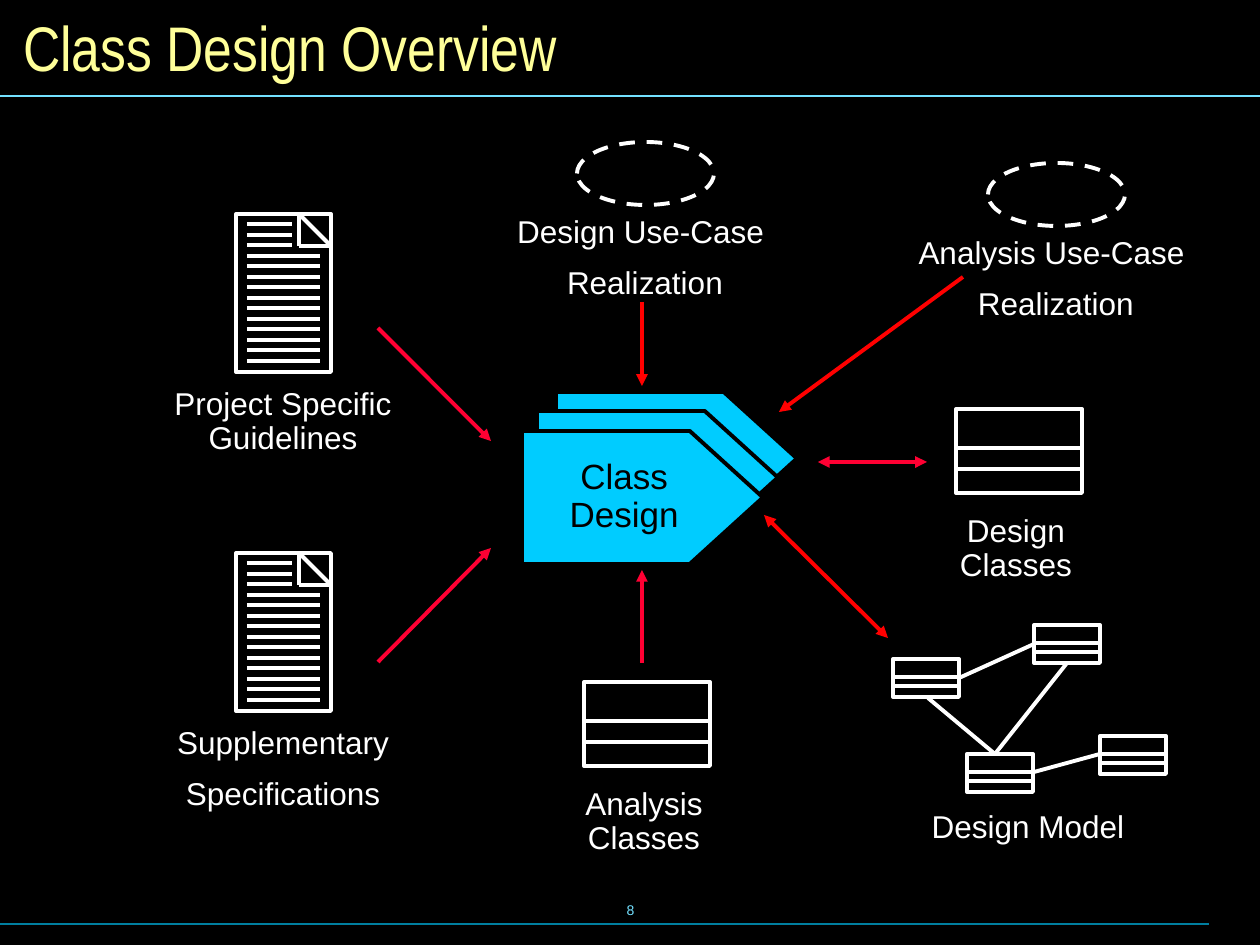
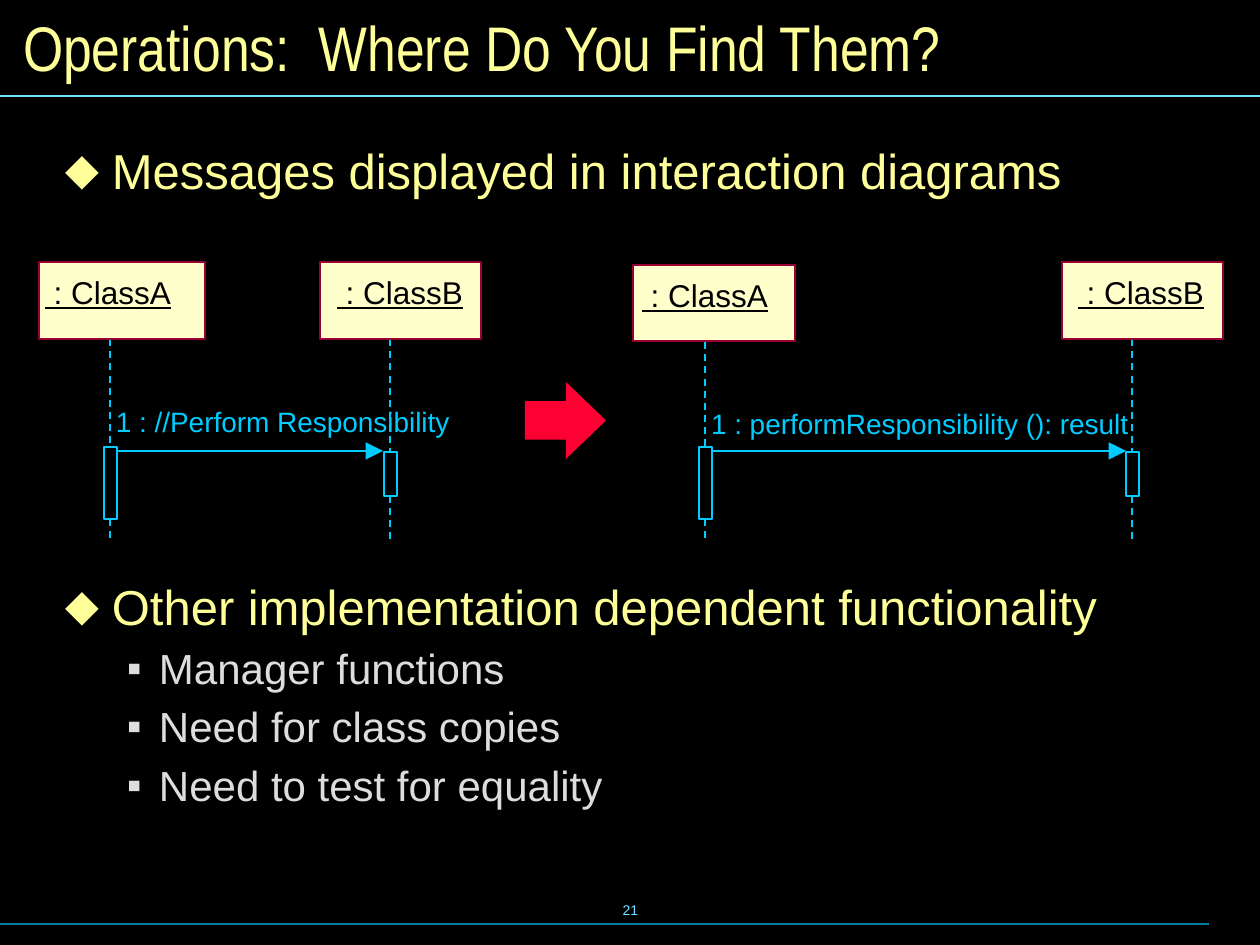
from dataclasses import dataclass

from lxml import etree
from pptx import Presentation
from pptx import util as u
from pptx.dml.color import RGBColor
from pptx.enum import dml, shapes, text
from pptx.oxml import ns

SHAPE = shapes.MSO_SHAPE
ALIGN = text.PP_ALIGN
ANCHOR = text.MSO_ANCHOR
PX = 914400 / 126


def px(length):
    return u.Emu(round(length * PX))


@dataclass(frozen=True)
class Theme:
    # Colours
    background: str = "000000"
    white: str = "FFFFFF"
    black: str = "000000"
    title: str = "FFFF99"
    sub_item: str = "DDDDDD"
    header_line: str = "73E1FF"
    footer_line: str = "007E9F"
    cyan: str = "00CCFF"
    crimson: str = "FF0033"
    red: str = "FF0000"
    object_fill: str = "FFFFCC"
    object_line: str = "990033"
    # Fonts and type sizes
    body_font: str = "Arial"
    title_font: str = "Arial Narrow"
    title_size: int = 36
    item_size: int = 28
    sub_item_size: int = 24
    step_size: int = 20
    label_size: int = 18
    message_size: int = 16
    number_size: int = 8
    # Line widths
    thick: float = 2.25
    medium: float = 1
    thin: float = 0.75


THEME = Theme()


class Deck:
    """Holds the theme and the current slide, and draws elements on it."""

    def __init__(self, theme):
        self.theme = theme
        self.presentation = Presentation()
        self.presentation.slide_width = u.Inches(10)
        self.presentation.slide_height = u.Inches(7.5)
        fill = self.presentation.slide_master.background.fill
        fill.solid()
        fill.fore_color.rgb = RGBColor.from_string(theme.background)
        self.slide = None

    def new_slide(self, title, number, layout):
        theme = self.theme
        self.slide = self.presentation.slides.add_slide(
            self.presentation.slide_layouts[layout])
        self.label(str(number), 431, 880, 399, 63, theme.number_size,
                   theme.header_line, anchor=ANCHOR.MIDDLE)
        self.line(0, 924, 1209, 924, theme.footer_line, theme.thin)
        self.line(0, 96, 1260, 96, theme.header_line, theme.thin)
        shape = self.slide.shapes.title
        self.place(shape, 10, 10, 1240, 73)
        frame = shape.text_frame
        frame.text = title
        self.frame(frame, ANCHOR.MIDDLE, 13, 6)
        frame.paragraphs[0].alignment = ALIGN.LEFT
        self.font(frame.paragraphs[0], theme.title_size, theme.title,
                  theme.title_font)

    def place(self, shape, left, top, width, height):
        shape.left, shape.top = px(left), px(top)
        shape.width, shape.height = px(width), px(height)

    def frame(self, frame, anchor, side, end, wrap=True):
        frame.auto_size = text.MSO_AUTO_SIZE.NONE
        frame.word_wrap = wrap
        frame.vertical_anchor = anchor
        frame.margin_left = frame.margin_right = px(side)
        frame.margin_top = frame.margin_bottom = px(end)

    def font(self, paragraph, size, color, name=None, underline=None):
        font = paragraph.font
        font.name = name or self.theme.body_font
        font.size = u.Pt(size)
        font.color.rgb = RGBColor.from_string(color)
        font.underline = underline

    def fill_text(self, frame, content, size, color, align, underline=None):
        frame.text = content
        for index, paragraph in enumerate(frame.paragraphs):
            paragraph.alignment = align
            paragraph.line_spacing = 0.9
            paragraph.space_before = u.Pt(10 if index else 0)
            self.font(paragraph, size, color, underline=underline)

    def label(self, content, left, top, width, height, size, color,
              align=ALIGN.CENTER, anchor=ANCHOR.TOP, side=13, end=6,
              underline=None):
        shape = self.slide.shapes.add_textbox(
            px(left), px(top), px(width), px(height))
        self.frame(shape.text_frame, anchor, side, end, wrap=False)
        self.fill_text(shape.text_frame, content, size, color, align,
                       underline)

    def caption(self, content, center, top, height=88, side=13, end=6):
        self.label(content, center - 140, top, 280, height,
                   self.theme.label_size, self.theme.white,
                   side=side, end=end)

    def shape(self, kind, left, top, width, height, fill=None, line=None,
              weight=1, dash=False, adjustments=()):
        shape = self.slide.shapes.add_shape(
            kind, px(left), px(top), px(width), px(height))
        shape.shadow.inherit = False
        for index, value in enumerate(adjustments):
            shape.adjustments[index] = value
        if fill:
            shape.fill.solid()
            shape.fill.fore_color.rgb = RGBColor.from_string(fill)
        else:
            shape.fill.background()
        if line:
            self.stroke(shape.line, line, weight, dash)
        else:
            shape.line.fill.background()
        return shape

    def stroke(self, line, color, weight, dash):
        line.color.rgb = RGBColor.from_string(color)
        line.width = u.Pt(weight)
        if dash:
            line.dash_style = dml.MSO_LINE.DASH

    def line(self, x1, y1, x2, y2, color, weight, dash=False, heads=(),
             head_size="med"):
        connector = self.slide.shapes.add_connector(
            shapes.MSO_CONNECTOR.STRAIGHT, px(x1), px(y1), px(x2), px(y2))
        self.stroke(connector.line, color, weight, dash)
        properties = connector._element.spPr
        outline = properties.find(ns.qn("a:ln"))
        for end in heads:
            etree.SubElement(outline, ns.qn(f"a:{end}"), type="triangle",
                             w=head_size, len=head_size)
        etree.SubElement(properties, ns.qn("a:effectLst"))

    def white_line(self, x1, y1, x2, y2):
        self.line(x1, y1, x2, y2, self.theme.white, self.theme.thick)

    def document(self, left, top):
        width, fold = 95, 32
        right = left + width
        self.shape(SHAPE.RECTANGLE, left, top, width, 158,
                   line=self.theme.white, weight=self.theme.thick)
        # Folded corner
        self.white_line(right - fold, top, right, top + fold)
        self.white_line(right - fold, top, right - fold, top + fold)
        self.white_line(right, top + fold, right - fold, top + fold)
        # Lines of writing, the first three shortened by the fold
        for row in range(14):
            y = top + 21 * (row + 1) // 2
            self.white_line(left + 11, y, left + (56 if row < 3 else 84), y)

    def class_box(self, left, top, width, height):
        self.shape(SHAPE.RECTANGLE, left, top, width, height,
                   line=self.theme.white, weight=self.theme.thick)
        for share in (0.47, 0.72):
            y = top + round(share * height)
            self.white_line(left, y, left + width, y)

    def use_case(self, left, top):
        self.shape(SHAPE.OVAL, left, top, 137, 63, line=self.theme.white,
                   weight=self.theme.thick, dash=True)

    def bullets(self, items, left, top, width, height):
        """Fill the body; an item is (level, text, space before in points)."""
        theme = self.theme
        styles = ((theme.item_size, theme.title, 0.8, 47, 47, "⬥"),
                  (theme.sub_item_size, theme.sub_item, 0.87, 94, 32, "▪"))
        shape = self.slide.placeholders[1]
        self.place(shape, left, top, width, height)
        frame = shape.text_frame
        frame.text = "\n".join(item[1] for item in items)
        self.frame(frame, ANCHOR.TOP, 15, 8)
        for paragraph, (level, _, space) in zip(frame.paragraphs, items):
            size, color, spacing, indent, hanging, bullet = styles[level]
            paragraph.level = level
            paragraph.line_spacing = spacing
            paragraph.space_before = u.Pt(space)
            properties = paragraph._p.get_or_add_pPr()
            properties.set("marL", str(px(indent)))
            properties.set("indent", str(-px(hanging)))
            bullet_color = etree.SubElement(properties, ns.qn("a:buClr"))
            etree.SubElement(bullet_color, ns.qn("a:srgbClr"), val=color)
            etree.SubElement(properties, ns.qn("a:buChar"), char=bullet)
            self.font(paragraph, size, color)

    def participant(self, name, box, name_left, axis, bar, end):
        """Draw an object box with its lifeline and activation bar."""
        theme = self.theme
        left, top, width, height = box
        bar_top, bar_height = bar
        for y1, y2 in ((top + 65, bar_top), (bar_top + bar_height, end)):
            self.line(axis, y1, axis, y2, theme.cyan, theme.medium, dash=True)
        self.shape(SHAPE.RECTANGLE, axis - 6, bar_top, 13, bar_height,
                   line=theme.cyan, weight=theme.thin)
        self.shape(SHAPE.RECTANGLE, left, top, width, height,
                   theme.object_fill, theme.object_line, theme.medium)
        self.label(name, name_left - 13, top + 9, 151, 50, theme.label_size,
                   theme.black, align=ALIGN.LEFT, underline=True)

    def message(self, content, x1, x2, label_top, label_width):
        theme = self.theme
        self.line(x1, 451, x2, 451, theme.cyan, theme.medium,
                  heads=("tailEnd",), head_size="lg")
        self.label(content, x1 - 14, label_top, label_width, 47,
                   theme.message_size, theme.cyan, align=ALIGN.LEFT)


def overview_slide(deck):
    theme = deck.theme
    deck.new_slide("Class Design Overview", 8, layout=5)

    # Guidance documents
    for top, content in ((214, "Project Specific\vGuidelines"),
                         (553, "Supplementary\nSpecifications")):
        deck.document(236, top)
        deck.caption(content, 283, top + 168)

    # Stacked activity in the centre
    for left, top in ((556, 392), (537, 411), (522, 431)):
        step = deck.shape(SHAPE.PENTAGON, left, top, 241, 133, theme.cyan,
                          theme.black, theme.thick, adjustments=(0.55,))
    deck.frame(step.text_frame, ANCHOR.MIDDLE, 13, 6, wrap=False)
    deck.fill_text(step.text_frame, "Class\vDesign", theme.step_size,
                   theme.black, ALIGN.CENTER)

    # Use-case realizations
    for left, top, kind in ((577, 142, "Design"), (988, 163, "Analysis")):
        deck.use_case(left, top)
        deck.caption(f"{kind} Use-Case \nRealization", left + 68, top + 68)

    # Class symbols
    for left, top, kind in ((956, 409, "Design"), (584, 682, "Analysis")):
        deck.class_box(left, top, 126, 84)
        deck.caption(f"{kind}\vClasses", left + 60, top + 106, 76, 0, 0)

    # Design model
    for left, top in ((893, 659), (1034, 625), (967, 754), (1100, 736)):
        deck.class_box(left, top, 66, 38)
    for ends in ((995, 754, 928, 698), (959, 678, 1034, 644),
                 (1034, 772, 1100, 754), (995, 754, 1067, 663)):
        deck.white_line(*ends)
    deck.caption("Design Model", 1028, 805, 50)

    # Arrows to and from the activity
    one_way, two_way = ("tailEnd",), ("headEnd", "tailEnd")
    for ends, color, heads in (
            ((378, 328, 491, 441), theme.crimson, one_way),
            ((378, 662, 491, 548), theme.crimson, one_way),
            ((642, 663, 642, 570), theme.crimson, one_way),
            ((818, 462, 927, 462), theme.crimson, two_way),
            ((888, 638, 764, 515), theme.red, two_way),
            ((963, 277, 779, 412), theme.red, one_way),
            ((642, 302, 642, 386), theme.red, one_way)):
        deck.line(*ends, color, theme.thick, heads=heads)


def operations_slide(deck):
    deck.new_slide("Operations:  Where Do You Find Them?", 21, layout=1)
    deck.bullets((
        (0, "Messages displayed in interaction diagrams", 0),
        (0, "Other implementation dependent functionality", 222),
        (1, "Manager functions", 8.3),
        (1, "Need for class copies", 8.3),
        (1, "Need to test for equality", 8.3),
    ), 50, 144, 1169, 696)

    # Participants of both interaction diagrams
    sender_bar, receiver_bar = (447, 72), (452, 44)
    for name, box, name_left, axis, bar in (
            (" : ClassA", (39, 262, 166, 77), 45, 110, sender_bar),
            (" : ClassB", (320, 262, 161, 77), 337, 390, receiver_bar),
            (" : ClassA", (633, 265, 162, 76), 642, 705, sender_bar),
            (" : ClassB", (1062, 262, 161, 77), 1078, 1132, receiver_bar)):
        deck.participant(name, box, name_left, axis, bar, 541)

    # Messages
    deck.message("1 : //Perform Responsibility", 117, 383, 402, 360)
    deck.message("1 : performResponsibility (): result", 712, 1126, 404, 445)

    # Transition from analysis to design
    deck.shape(SHAPE.RIGHT_ARROW, 525, 382, 81, 77, deck.theme.crimson,
               adjustments=(0.5, 0.52))


def main():
    deck = Deck(THEME)
    overview_slide(deck)
    operations_slide(deck)
    deck.presentation.save("out.pptx")


if __name__ == "__main__":
    main()
